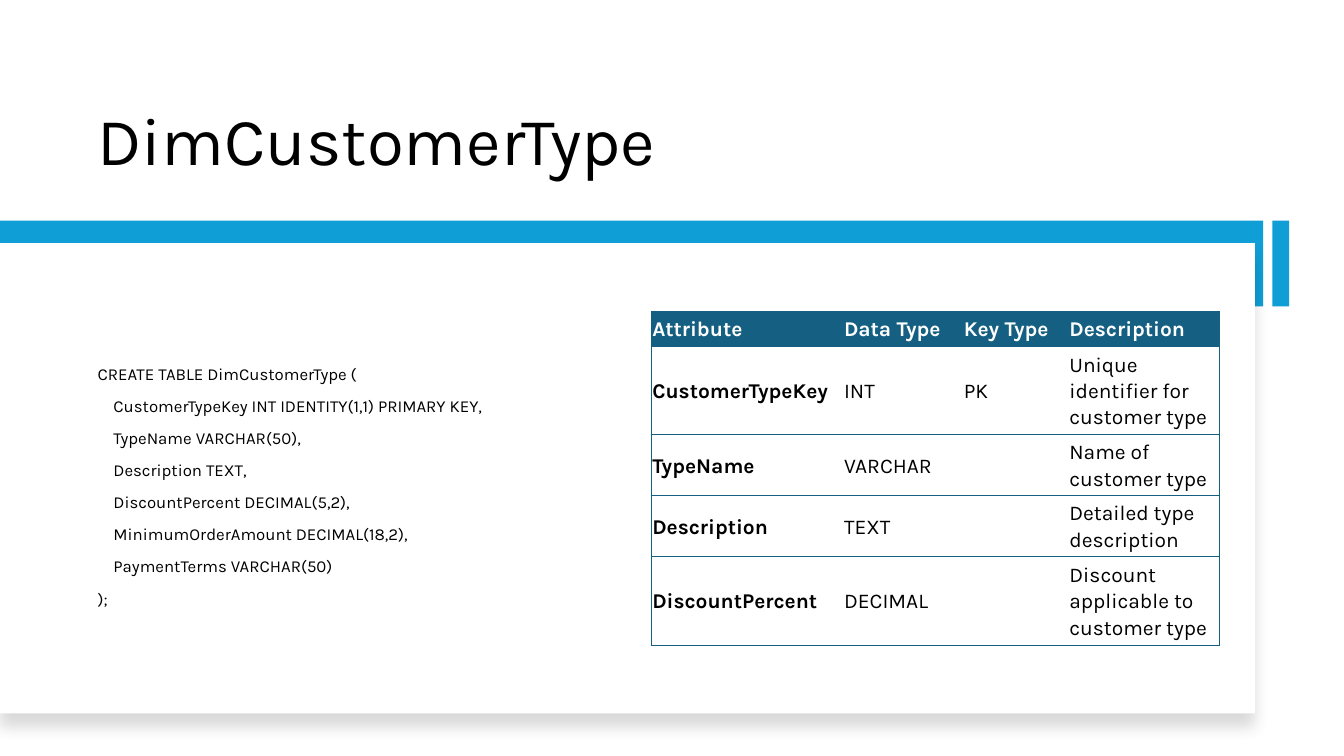
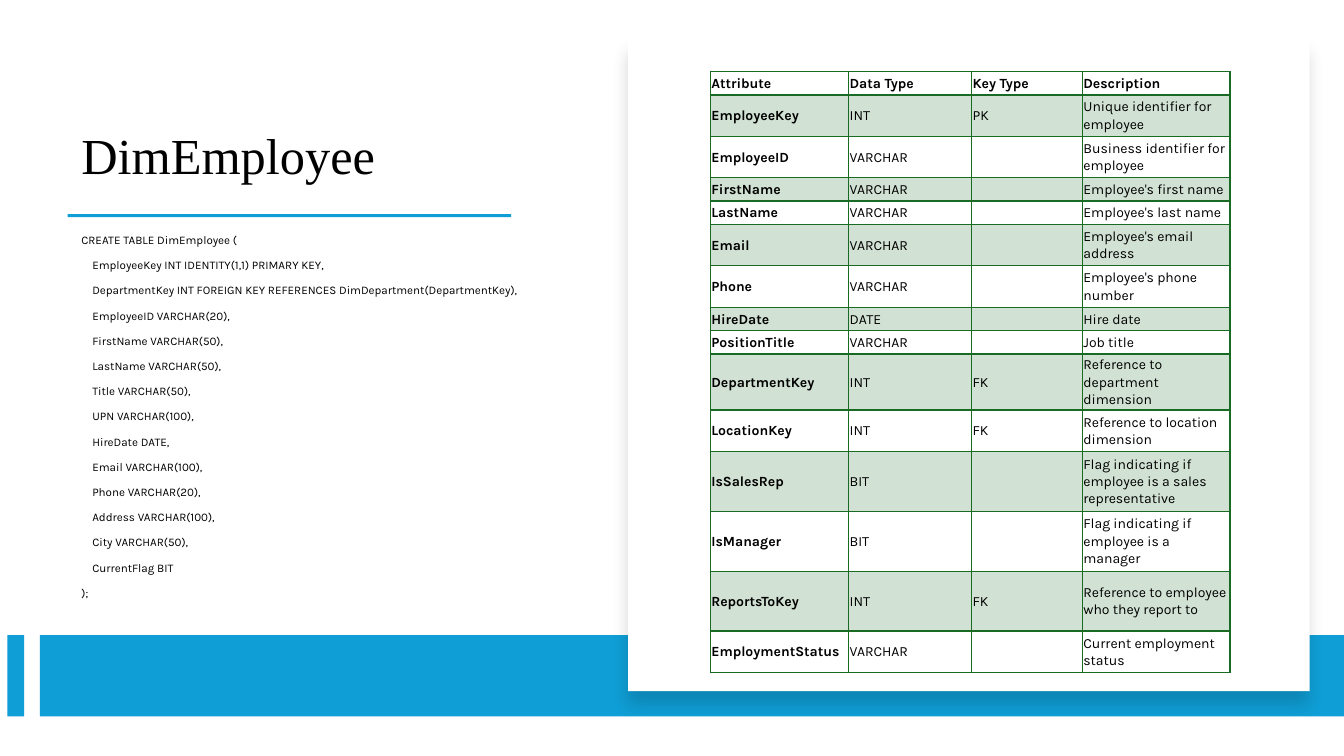
from lxml.etree import SubElement
from pptx import Presentation
from pptx.dml.color import RGBColor as Rgb
from pptx.enum.shapes import MSO_SHAPE as Shape
from pptx.enum.text import MSO_ANCHOR as Anchor
from pptx.oxml.ns import qn
from pptx.util import Pt

HUES = {
    "ink": "000000",
    "paper": "FFFFFF",
    "blue": "0F9ED5",
    "teal": "156082",
    "green": "196B24",
}
PLAIN = "{2D5ABB26-0587-4C30-8999-92F81FD0307C}"
HEADS = ["Attribute", "Data Type", "Key Type", "Description"]


def sub(node, tag, **attrs):
    return SubElement(node, qn("a:" + tag), {k: str(v) for k, v in attrs.items()})


def tint(node, hue, alpha):
    """Add a partly clear colour, alpha in percent."""
    tone = sub(node, "srgbClr", val=HUES[hue])
    sub(tone, "alpha", val=alpha * 1000)


class Deck:
    font = "Karla"

    def __init__(self):
        self.prs = Presentation()
        self.prs.slide_width, self.prs.slide_height = Pt(960), Pt(540)

    def page(self):
        self.slide = self.prs.slides.add_slide(self.prs.slide_layouts[6])

    def run(self, par, text, size, hue="ink", bold=False, font=None):
        run = par.add_run()
        run.text = text
        run.font.name = font or self.font
        run.font.size = Pt(size)
        run.font.bold = bold
        run.font.color.rgb = Rgb.from_string(HUES[hue])

    def rect(self, box, hue="blue"):
        rect = self.slide.shapes.add_shape(Shape.RECTANGLE, *map(Pt, box))
        rect.shadow.inherit = False
        rect.fill.solid()
        rect.fill.fore_color.rgb = Rgb.from_string(HUES[hue])
        rect.line.fill.background()
        return rect

    def card(self, box):
        """Draw a white panel with a soft shadow below it."""
        props = self.rect(box, "paper")._element.spPr
        glow = sub(props.find(qn("a:effectLst")), "outerShdw",
                   blurRad=Pt(11), dist=Pt(10), dir=90 * 60000)
        tint(glow, "ink", 15)

    def text(self, box, lines, size, anchor, lead, font=None):
        frame = self.slide.shapes.add_textbox(*map(Pt, box)).text_frame
        frame.word_wrap = True
        frame.vertical_anchor = anchor
        for i, line in enumerate(lines):
            par = frame.add_paragraph() if i else frame.paragraphs[0]
            par.line_spacing = lead
            par.space_before = Pt(10 if i else 0)
            self.run(par, line, size, font=font)

    def title(self, box, text, size, font=None):
        self.text(box, [text], size, Anchor.BOTTOM, 0.9, font)

    def code(self, box, lines, size, lead):
        self.text(box, lines, size, Anchor.MIDDLE, lead)

    def edge(self, cell, hue, wide):
        """Set cell borders from a dict of side to width; 0 is no line."""
        props = cell._tc.get_or_add_tcPr()
        for side in "LRTB":
            line = sub(props, "ln" + side, w=Pt(wide[side]))
            if wide[side]:
                sub(sub(line, "solidFill"), "srgbClr", val=HUES[hue])
            else:
                sub(line, "noFill")

    def cell(self, cell, text, size, hue, bold):
        cell.margin_left = cell.margin_right = Pt(0.72)
        cell.margin_top = cell.margin_bottom = Pt(0.72)
        cell.vertical_anchor = Anchor.MIDDLE
        par = cell.text_frame.paragraphs[0]
        par.line_spacing = 1.07
        par.space_after = Pt(12)
        if text:
            self.run(par, text, size, hue, bold)
        else:
            sub(par._p, "endParaRPr", sz=size * 100)

    def table(self, spot, cols, tall, data, size, hue, grid):
        """A grid has all lines and bands; otherwise a dark head and row lines."""
        rows = [HEADS] + data
        frame = self.slide.shapes.add_table(
            len(rows), len(cols), *map(Pt, (*spot, sum(cols), sum(tall))))
        table = frame.table
        table.first_row = table.horz_banding = False
        table._tbl.tblPr.find(qn("a:tableStyleId")).text = PLAIN
        for col, width in zip(table.columns, cols):
            col.width = Pt(width)
        for row, height in zip(table.rows, tall):
            row.height = Pt(height)
        for r, row in enumerate(rows):
            for c, text in enumerate(row):
                cell = table.cell(r, c)
                head = r == 0
                ink = "paper" if head and not grid else "ink"
                self.cell(cell, text, size, ink, head or c == 0)
                self.edge(cell, hue, {
                    "L": int(grid or c == 0),
                    "R": int(grid or c == len(cols) - 1),
                    "T": 2 if grid and r == 1 else 1,
                    "B": 2 if grid and head else 1,
                })
                if grid and r % 2:
                    tint(sub(cell._tc.tcPr, "solidFill"), hue, 20)
                elif head and not grid:
                    cell.fill.solid()
                    cell.fill.fore_color.rgb = Rgb.from_string(HUES[hue])
                else:
                    cell.fill.background()


def client(deck):
    deck.page()
    deck.title((62.6, 30.2, 792.8, 102.2), "DimCustomerType", 48)
    deck.rect((0, 157.6, 902.2, 61.2))
    deck.card((0, 173.6, 896.4, 336))
    deck.code((62.6, 204.6, 357.2, 286.6), [
        "CREATE TABLE DimCustomerType (",
        "    CustomerTypeKey INT IDENTITY(1,1) PRIMARY KEY,",
        "    TypeName VARCHAR(50),",
        "    Description TEXT,",
        "    DiscountPercent DECIMAL(5,2),",
        "    MinimumOrderAmount DECIMAL(18,2),",
        "    PaymentTerms VARCHAR(50)",
        ");",
    ], 12, 0.9)
    deck.rect((908.8, 157.6, 12, 61.2))
    low, mid, high = 24.6, 43.6, 63.2
    deck.table((465.2, 222.8), [137, 85.6, 75.4, 107.8], [low, high, mid, mid, high], [
        ["CustomerTypeKey", "INT", "PK", "Unique identifier for customer type"],
        ["TypeName", "VARCHAR", "", "Name of customer type"],
        ["Description", "TEXT", "", "Detailed type description"],
        ["DiscountPercent", "DECIMAL", "", "Discount applicable to customer type"],
    ], 15, "teal", grid=False)


def staff(deck):
    deck.page()
    deck.title((51, 41.8, 337, 94.4), "DimEmployee", 36, "Times New Roman")
    deck.rect((48.4, 153, 316.8, 2.2))
    deck.code((51, 160, 337, 276.4), [
        "CREATE TABLE DimEmployee (",
        "    EmployeeKey INT IDENTITY(1,1) PRIMARY KEY,",
        "    DepartmentKey INT FOREIGN KEY REFERENCES DimDepartment(DepartmentKey),",
        "    EmployeeID VARCHAR(20),",
        "    FirstName VARCHAR(50),",
        "    LastName VARCHAR(50),",
        "    Title VARCHAR(50),",
        "    UPN VARCHAR(100),",
        "    HireDate DATE,",
        "    Email VARCHAR(100),",
        "    Phone VARCHAR(20),",
        "    Address VARCHAR(100),",
        "    City VARCHAR(50),",
        "    CurrentFlag BIT",
        ");",
    ], 8.3, 0.8)
    deck.rect((5.2, 453.6, 12, 58.2))
    deck.rect((28.4, 453.6, 931.6, 58.2))
    deck.card((448.6, 28, 486.8, 465.8))
    low, mid, high = 16.7, 29.6, 42.8
    tall = [low, mid, mid, low, low, mid, mid, low, low, mid, mid, high, high, high, mid]
    deck.table((507.4, 51), [98.8, 87.8, 79.2, 105.4], tall, [
        ["EmployeeKey", "INT", "PK", "Unique identifier for employee"],
        ["EmployeeID", "VARCHAR", "", "Business identifier for employee"],
        ["FirstName", "VARCHAR", "", "Employee's first name"],
        ["LastName", "VARCHAR", "", "Employee's last name"],
        ["Email", "VARCHAR", "", "Employee's email address"],
        ["Phone", "VARCHAR", "", "Employee's phone number"],
        ["HireDate", "DATE", "", "Hire date"],
        ["PositionTitle", "VARCHAR", "", "Job title"],
        ["DepartmentKey", "INT", "FK", "Reference to department dimension"],
        ["LocationKey", "INT", "FK", "Reference to location dimension"],
        ["IsSalesRep", "BIT", "", "Flag indicating if employee is a sales representative"],
        ["IsManager", "BIT", "", "Flag indicating if employee is a manager"],
        ["ReportsToKey", "INT", "FK", "Reference to employee who they report to"],
        ["EmploymentStatus", "VARCHAR", "", "Current employment status"],
    ], 10, "green", grid=True)


def main():
    deck = Deck()
    client(deck)
    staff(deck)
    deck.prs.save("out.pptx")


if __name__ == "__main__":
    main()
